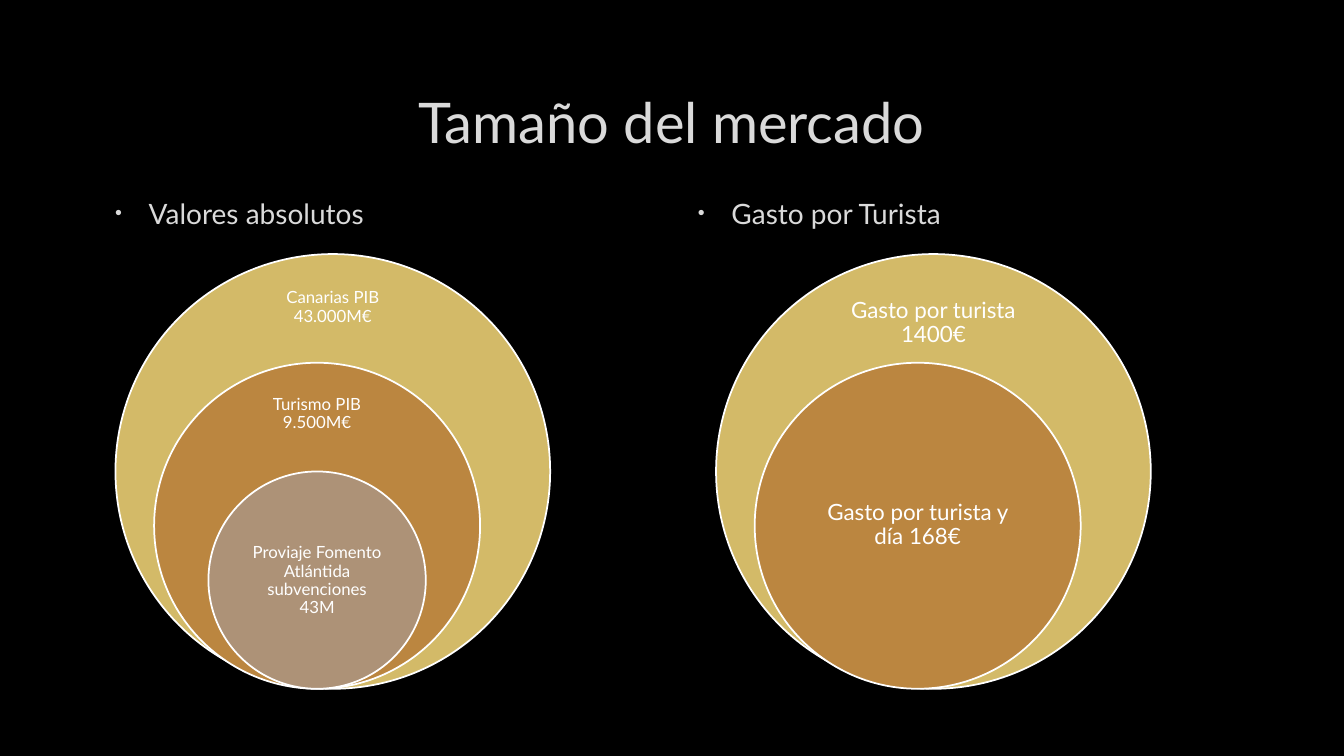
from lxml import etree
from pptx import Presentation, util as u
from pptx.dml.color import RGBColor
from pptx.enum import shapes, text
from pptx.oxml import ns

PX = 9525
BLACK = RGBColor(0x00, 0x00, 0x00)
WHITE = RGBColor(0xFF, 0xFF, 0xFF)
LIGHT_GREY = RGBColor(0xDA, 0xDA, 0xDA)
RING_FILLS = [RGBColor(0xD3, 0xBA, 0x68), RGBColor(0xBB, 0x86, 0x40), RGBColor(0xAD, 0x92, 0x77)]
FONT = "Lato"
INNER_SHIFT = -15

# Each ring: label, distance of the label from the ring's top, label width, label height
MARKET_RINGS = [
    ("Canarias PIB 43.000M€", 20, 145, 62),
    ("Turismo PIB 9.500M€", 19, 145, 59),
    ("Proviaje Fomento Atlántida subvenciones\n43M", 52, 147, 104),
]
SPENDING_RINGS = [
    ("Gasto por turista 1400€", 31, 218, 70),
    ("Gasto por turista y día 168€", 77, 220, 156),
]


def px(*lengths):
    return [u.Emu(round(length * PX)) for length in lengths]


def set_all(target, values):
    for name, value in values.items():
        setattr(target, name, value)


def format_runs(paragraph, size, color):
    for run in paragraph.runs:
        set_all(run.font, {"name": FONT, "size": u.Pt(size)})
        run.font.color.rgb = color
    for line_break in paragraph._p.findall(ns.qn("a:br")):
        etree.SubElement(line_break, ns.qn("a:rPr"), sz=str(size * 100))


def fill_placeholder(placeholder, box, wording, size):
    """Move a placeholder to its box and return its one paragraph."""
    set_all(placeholder, dict(zip(("left", "top", "width", "height"), px(*box))))
    placeholder.text_frame.text = wording
    paragraph = placeholder.text_frame.paragraphs[0]
    format_runs(paragraph, size, LIGHT_GREY)
    return paragraph


def add_title(slide, box, wording):
    paragraph = fill_placeholder(slide.shapes.title, box, wording, 40)
    paragraph.alignment = text.PP_ALIGN.CENTER
    slide.shapes.title.text_frame.vertical_anchor = text.MSO_ANCHOR.MIDDLE


def add_heading(placeholder, box, wording):
    paragraph = fill_placeholder(placeholder, box, wording, 20)
    paragraph.space_after = u.Pt(6)
    properties = paragraph._p.get_or_add_pPr()
    properties.set("marL", str(36 * PX))
    properties.set("indent", str(-32 * PX))
    bullet_color = etree.SubElement(properties, ns.qn("a:buClr"))
    etree.SubElement(bullet_color, ns.qn("a:srgbClr"), val=str(LIGHT_GREY))
    etree.SubElement(properties, ns.qn("a:buSzPct"), val="70000")
    etree.SubElement(properties, ns.qn("a:buFont"), typeface="Arial")
    etree.SubElement(properties, ns.qn("a:buChar"), char="•")


def add_label(slide, box, wording, size, inset):
    frame = slide.shapes.add_textbox(*px(*box)).text_frame
    margin = px(inset)[0]
    set_all(frame, {
        "word_wrap": True, "vertical_anchor": text.MSO_ANCHOR.MIDDLE,
        "margin_left": margin, "margin_right": margin,
        "margin_top": margin, "margin_bottom": margin,
    })
    paragraph = frame.paragraphs[0]
    paragraph.text = wording
    set_all(paragraph, {"alignment": text.PP_ALIGN.CENTER, "line_spacing": 0.9})
    format_runs(paragraph, size, WHITE)


def add_stacked_venn(slide, box, rings, size, inset):
    """Nest circles that share the bottom of a square box, each a quarter of it smaller."""
    left, top, side = box
    for index, (wording, offset, width, height) in enumerate(rings):
        diameter = side * (4 - index) / 4
        center = left + side / 2 + (INNER_SHIFT if index else 0)
        ring_top = top + side - diameter
        ring = slide.shapes.add_shape(
            shapes.MSO_SHAPE.OVAL, *px(center - diameter / 2, ring_top, diameter, diameter))
        ring.shadow.inherit = False
        ring.fill.solid()
        ring.fill.fore_color.rgb = RING_FILLS[index]
        ring.line.color.rgb = WHITE
        ring.line.width = u.Pt(1.25)
        label_box = (center - width / 2, ring_top + offset, width, height)
        add_label(slide, label_box, wording, size, inset)


def main():
    presentation = Presentation()
    presentation.slide_width, presentation.slide_height = px(1280, 720)
    slide = presentation.slides.add_slide(presentation.slide_layouts[3])
    slide.background.fill.solid()
    slide.background.fill.fore_color.rgb = BLACK

    add_title(slide, (96, 64, 1087, 102), "Tamaño del mercado")
    add_heading(slide.placeholders[1], (96, 182, 531, 426), "Valores absolutos")
    add_heading(slide.placeholders[2], (651, 182, 532, 426), "Gasto por Turista")
    add_stacked_venn(slide, (110, 242, 414), MARKET_RINGS, 12, 9)
    add_stacked_venn(slide, (682, 242, 414), SPENDING_RINGS, 16, 12)
    presentation.save("out.pptx")


if __name__ == "__main__":
    main()
